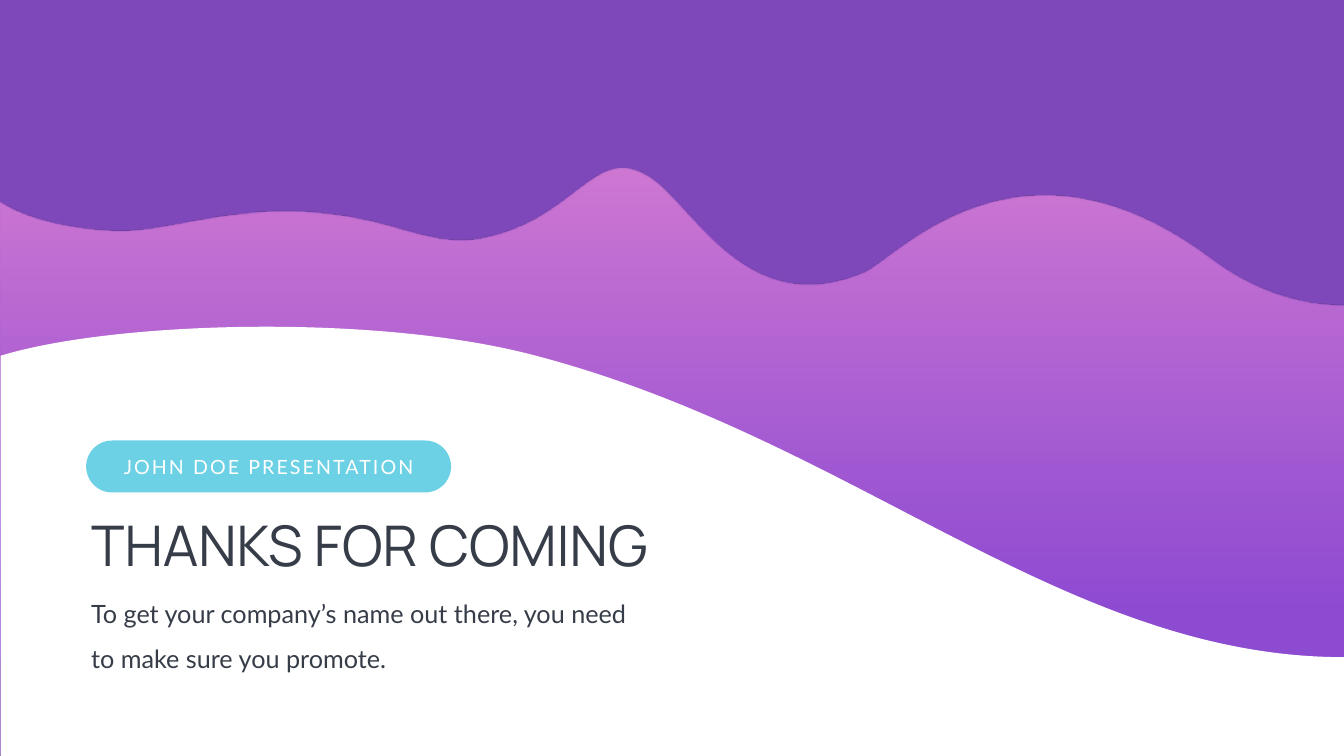
import itertools

import pptx
import pptx.dml.color
import pptx.enum.shapes
import pptx.enum.text
import pptx.oxml
import pptx.oxml.ns
import pptx.util

Cm = pptx.util.Cm
Pt = pptx.util.Pt
qn = pptx.oxml.ns.qn
ALIGN = pptx.enum.text.PP_ALIGN
SHAPES = pptx.enum.shapes.MSO_SHAPE
NAMESPACE = pptx.oxml.ns.nsdecls("a")

WIDTH, HEIGHT = 67.72, 38.1
TEXT_LEFT = 4.34
COLORS = {
    "ink": "363D48",
    "purple": "914BD7",
    "pink": "E184D6",
    "cyan": "6CD1E5",
    "white": "FFFFFF",
}

# Each wave starts at the left edge; each curve is two control points and an end, in cm.
PURPLE_START = (0.03, 10.21)
PURPLE_CURVES = [
    ((0.03, 10.21), (1.7, 11.48), (5.69, 11.68)),
    ((9.02, 11.86), (13, 9.53), (19.84, 11.48)),
    ((21.31, 11.91), (22.83, 12.37), (24.36, 12.04)),
    ((29.06, 11.1), (29.95, 7.26), (32.66, 8.92)),
    ((34.87, 10.21), (37.52, 16.33), (43.56, 13.77)),
    ((45.14, 13.11), (51.36, 5.77), (61.11, 13.16)),
    ((62.18, 13.94), (64.49, 15.42), (WIDTH, 15.44)),
]
WHITE_START = (0.03, 17.93)
WHITE_CURVES = [
    ((5.64, 16.21), (18.59, 15.8), (26.62, 17.83)),
    ((42.98, 22), (53.49, 33.12), (WIDTH, 33.12)),
]


def color(name):
    return pptx.dml.color.RGBColor.from_string(COLORS[name])


def fill_solid(shape, name):
    shape.shadow.inherit = False
    shape.line.fill.background()
    shape.fill.solid()
    shape.fill.fore_color.rgb = color(name)


def fill_gradient(shape, stops):
    """Fill from top to bottom with (position, colour name) stops."""
    shape.fill.gradient()
    shape.fill.gradient_angle = 270
    for stop, (position, name) in zip(shape.fill.gradient_stops, stops):
        stop.position = position
        stop.color.rgb = color(name)


def set_opacity(shape, percents):
    """Give the shape's fill colours, in order, their opacity."""
    fill_colors = list(shape._element.spPr.iter(qn("a:srgbClr")))
    for fill_color, percent in zip(fill_colors, percents):
        fill_color.append(
            pptx.oxml.parse_xml(f'<a:alpha {NAMESPACE} val="{percent * 1000}"/>')
        )


def bend_lines(shape, curve_count):
    """Turn each three leading line segments of a freeform into one Bézier curve."""
    outline = next(shape._element.spPr.iter(qn("a:path")))
    lines = outline.findall(qn("a:lnTo"))
    for first in range(0, 3 * curve_count, 3):
        curve = pptx.oxml.parse_xml(f"<a:cubicBezTo {NAMESPACE}/>")
        lines[first].addprevious(curve)
        for line in lines[first : first + 3]:
            curve.append(line[0])
            outline.remove(line)


def add_wave(slide, start, curves):
    """Add an area below a wavy edge, down to the bottom of the slide."""
    left, top = start
    corners = [(WIDTH, HEIGHT), (left, HEIGHT)]
    points = itertools.chain(*curves, corners)
    builder = slide.shapes.build_freeform(Cm(left), Cm(top))
    builder.add_line_segments([(Cm(x), Cm(y)) for x, y in points])
    wave = builder.convert_to_shape()
    bend_lines(wave, len(curves))
    fill_solid(wave, "white")
    return wave


def write_text(shape, text, font, size, name, align=ALIGN.LEFT, wrap=True):
    frame = shape.text_frame
    frame.auto_size = pptx.enum.text.MSO_AUTO_SIZE.NONE
    frame.word_wrap = wrap
    frame.vertical_anchor = pptx.enum.text.MSO_ANCHOR.TOP
    paragraph = frame.paragraphs[0]
    paragraph.alignment = align
    run = paragraph.add_run()
    run.text = text
    run.font.name = font
    run.font.size = Pt(size)
    run.font.color.rgb = color(name)
    return paragraph


def add_backdrop(slide):
    slide.background.fill.solid()
    slide.background.fill.fore_color.rgb = color("ink")
    panel = slide.shapes.add_shape(SHAPES.RECTANGLE, 0, 0, Cm(WIDTH), Cm(33.2))
    fill_solid(panel, "purple")
    set_opacity(panel, [80])
    purple_wave = add_wave(slide, PURPLE_START, PURPLE_CURVES)
    fill_gradient(purple_wave, [(0, "pink"), (0.78, "purple")])
    set_opacity(purple_wave, [90, 80])
    add_wave(slide, WHITE_START, WHITE_CURVES)


def add_title(slide, text):
    title = slide.shapes.title
    title.left, title.top = Cm(TEXT_LEFT), Cm(25.6)
    title.width, title.height = Cm(34.44), Cm(3.68)
    write_text(title, text, "Manrope", 80, "ink")
    # Bring the placeholder in front of the waves.
    slide.shapes._spTree.append(title._element)


def add_message(slide, text):
    box = slide.shapes.add_textbox(Cm(TEXT_LEFT), Cm(29.26), Cm(28.17), Cm(4.57))
    write_text(box, text, "Lato", 36, "ink").line_spacing = 1.5


def add_badge(slide, text):
    group = slide.shapes.add_group_shape()
    pill = group.shapes.add_shape(
        SHAPES.ROUNDED_RECTANGLE, Cm(TEXT_LEFT), Cm(22.2), Cm(18.39), Cm(2.62)
    )
    pill.adjustments[0] = 0.5
    fill_solid(pill, "cyan")
    label = group.shapes.add_textbox(Cm(5.77), Cm(22.78), Cm(15.54), Cm(1.45))
    paragraph = write_text(label, text, "Lato", 28, "white", ALIGN.CENTER, False)
    paragraph.runs[0].font._element.set("spc", "300")


def main():
    presentation = pptx.Presentation()
    presentation.slide_width = Cm(WIDTH)
    presentation.slide_height = Cm(HEIGHT)
    slide = presentation.slides.add_slide(presentation.slide_layouts[5])
    add_backdrop(slide)
    add_title(slide, "THANKS FOR COMING")
    add_message(
        slide,
        "To get your company’s name out there, you need to make sure you promote.",
    )
    add_badge(slide, "JOHN DOE PRESENTATION")
    presentation.save("out.pptx")


if __name__ == "__main__":
    main()
